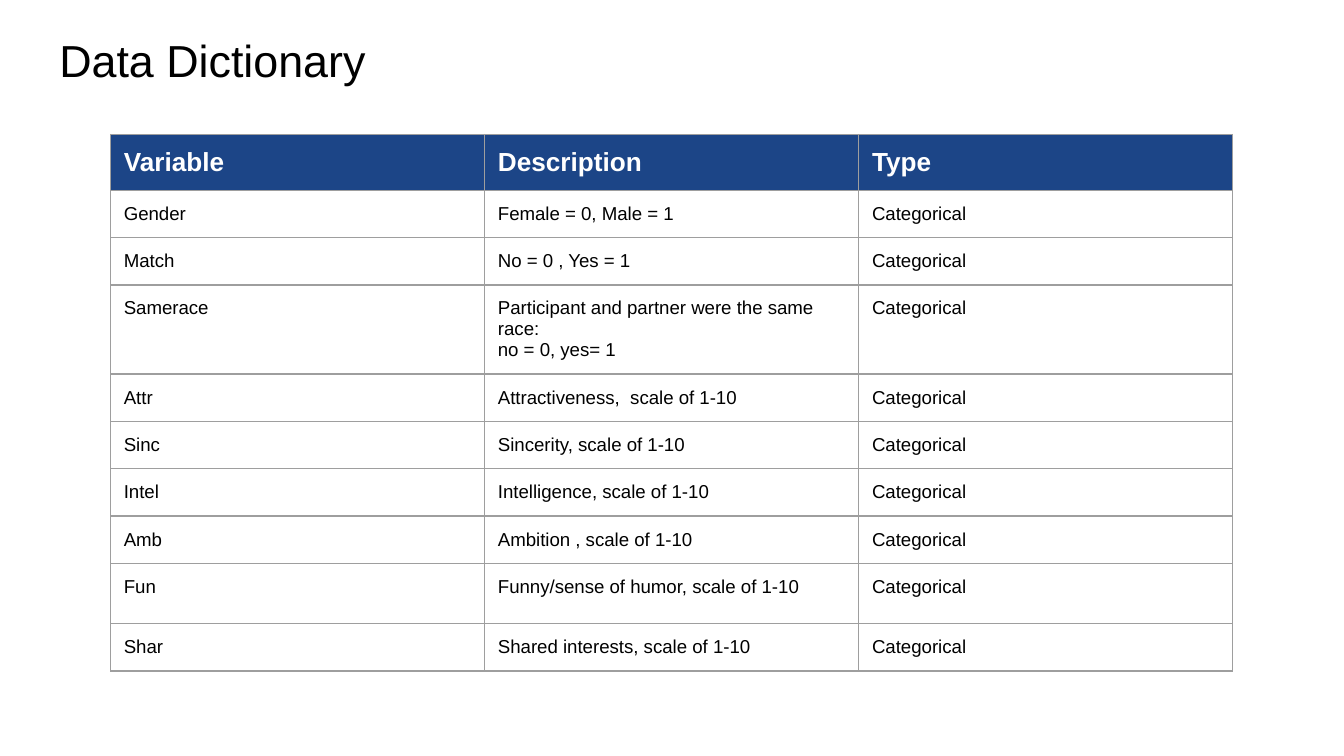
from lxml import etree
from pptx import Presentation
from pptx.dml.color import RGBColor
from pptx.enum import text as t
from pptx.oxml import ns
from pptx.util import Cm, Pt

# Content
TITLE = "Data Dictionary"
HEAD = ("Variable", "Description", "Type")
KIND = "Categorical"
VARS = [
    ("Gender", "Female = 0, Male = 1"),
    ("Match", "No = 0 , Yes = 1"),
    ("Samerace", "Participant and partner were the same race:\nno = 0, yes= 1"),
    ("Attr", "Attractiveness,  scale of 1-10"),
    ("Sinc", "Sincerity, scale of 1-10"),
    ("Intel", "Intelligence, scale of 1-10"),
    ("Amb", "Ambition , scale of 1-10"),
    ("Fun", "Funny/sense of humor, scale of 1-10"),
    ("Shar", "Shared interests, scale of 1-10"),
]

# Theme and measures
THEME = {
    "font": "Arial", "ink": "000000", "light": "FFFFFF",
    "head": "1C4587", "rule": "9E9E9E",
    "title": 24, "label": 14, "body": 10, "line": 0.75,
}
PAD = Cm(0.25)
COL = Cm(7.07)
ROW = Cm(0.86)
TALL = {"Variable": Cm(0.99), "Samerace": Cm(1.63), "Fun": Cm(1.14)}


def write(frame, words, size, color="ink", bold=False):
    """Fill a text frame, one paragraph for each line of words."""
    frame.text = words
    frame.word_wrap = True
    for para in frame.paragraphs:
        para.alignment = t.PP_ALIGN.LEFT
        for run in para.runs:
            font = run.font
            font.name = THEME["font"]
            font.size = Pt(THEME[size])
            font.bold = bold
            font.color.rgb = RGBColor.from_string(THEME[color])


def pad(box):
    box.margin_left = box.margin_right = PAD
    box.margin_top = box.margin_bottom = PAD


def border(cell):
    """Draw all four cell borders; they must come before the fill."""
    props = cell._tc.get_or_add_tcPr()
    for spot, side in enumerate(("lnL", "lnR", "lnT", "lnB")):
        line = etree.Element(ns.qn("a:" + side), w=str(Pt(THEME["line"])))
        fill = etree.SubElement(line, ns.qn("a:solidFill"))
        etree.SubElement(fill, ns.qn("a:srgbClr"), val=THEME["rule"])
        props.insert(spot, line)


def main():
    deck = Presentation()
    deck.slide_width, deck.slide_height = Cm(25.4), Cm(14.29)
    slide = deck.slides.add_slide(deck.slide_layouts[5])

    # Title
    title = slide.shapes.title
    title.left, title.top = Cm(0.87), Cm(0.33)
    title.width, title.height = Cm(23.67), Cm(1.6)
    write(title.text_frame, TITLE, "title")
    pad(title.text_frame)
    title.text_frame.auto_size = t.MSO_AUTO_SIZE.NONE
    title.text_frame.vertical_anchor = t.MSO_ANCHOR.MIDDLE

    # Table
    rows = [HEAD] + [(name, about, KIND) for name, about in VARS]
    highs = [TALL.get(row[0], ROW) for row in rows]
    grid = slide.shapes.add_table(
        len(rows), len(HEAD), Cm(2.09), Cm(2.54), COL * len(HEAD), sum(highs)
    ).table
    grid.horz_banding = False
    for col in grid.columns:
        col.width = COL
    for r, row in enumerate(rows):
        grid.rows[r].height = highs[r]
        for c, words in enumerate(row):
            cell = grid.cell(r, c)
            pad(cell)
            cell.vertical_anchor = t.MSO_ANCHOR.TOP
            if r == 0:
                cell.fill.solid()
                cell.fill.fore_color.rgb = RGBColor.from_string(THEME["head"])
                write(cell.text_frame, words, "label", color="light", bold=True)
            else:
                cell.fill.background()
                write(cell.text_frame, words, "body")
            border(cell)

    deck.save("out.pptx")


if __name__ == "__main__":
    main()
